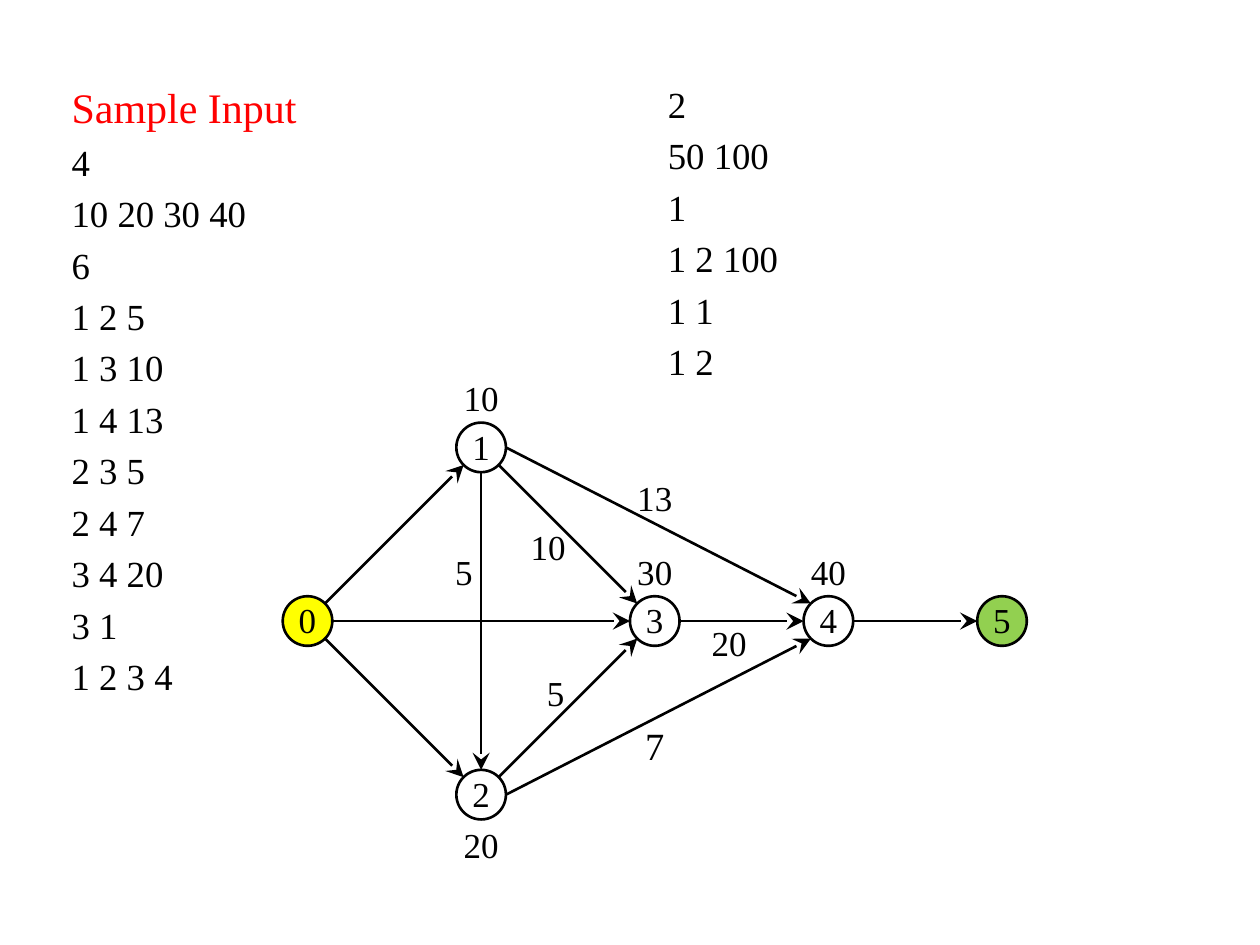
from math import cos, radians, sin

from lxml.etree import SubElement
from pptx import Presentation
from pptx.dml.color import RGBColor
from pptx.enum.shapes import MSO_CONNECTOR, MSO_SHAPE
from pptx.enum.text import MSO_ANCHOR, MSO_AUTO_SIZE, PP_ALIGN
from pptx.oxml.ns import qn
from pptx.util import Cm, Pt

FONT = "Times New Roman"
COLORS = {"black": "000000", "white": "FFFFFF", "red": "FF0000",
          "yellow": "FFFF00", "green": "92D050"}

# Sample input, as (left, top, width, height) in cm and lines
HEADING = "Sample Input"
COLUMNS = [
    ((1.19, 1.52, 11, 13),
     [HEADING, "4", "10 20 30 40", "6", "1 2 5", "1 3 10", "1 4 13",
      "2 3 5", "2 4 7", "3 4 20", "3 1", "1 2 3 4"]),
    ((13.21, 1.52, 11, 6.5),
     ["2", "50 100", "1", "1 2 100", "1 1", "1 2"]),
]

# Graph grid in cm: centre of node 0, spacing and node diameter
ORIGIN_X, ORIGIN_Y = 6.2, 12.52
STEP = 3.5
SIZE = 1.0

# Node: (column, row, fill, weight, weight offset in cm)
NODES = {
    "0": (0, 0, "yellow", None, 0),
    "1": (1, -1, "white", "10", -1),
    "2": (1, 1, "white", "20", 1),
    "3": (2, 0, "white", "30", -1),
    "4": (3, 0, "white", "40", -1),
    "5": (4, 0, "green", None, 0),
}

# Edge: (from, to, leaving side, arriving side)
ANGLES = {"E": 0, "SE": 45, "S": 90, "SW": 135,
          "W": 180, "NW": 225, "N": 270, "NE": 315}
EDGES = [
    ("0", "1", "NE", "SW"), ("0", "2", "SE", "NW"), ("0", "3", "E", "W"),
    ("1", "2", "S", "N"), ("1", "3", "SE", "NW"), ("1", "4", "E", "NW"),
    ("2", "3", "NE", "SW"), ("2", "4", "E", "SW"), ("3", "4", "E", "W"),
    ("4", "5", "E", "W"),
]

# Edge label: (text, offset from node 0 in cm, size, insets in cm, anchor)
NO_INSET = (0, 0, 0, 0)
MIDDLE, TOP = MSO_ANCHOR.MIDDLE, MSO_ANCHOR.TOP
EDGE_LABELS = [
    ("13", (7, -2.5), 20, NO_INSET, MIDDLE),
    ("7", (7, 2.5), 22, NO_INSET, MIDDLE),
    ("5", (3, -1), 20, (0.3, 0, 0, 0), MIDDLE),
    ("10", (4.85, -1.5), 20, NO_INSET, MIDDLE),
    ("5", (5, 1.5), 20, (0, 0, 0, 0.1), MIDDLE),
    ("20", (8.5, 0.5), 20, NO_INSET, TOP),
]


def color(name):
    return RGBColor.from_string(COLORS[name])


def set_font(paragraph, size, name="black"):
    paragraph.font.name = FONT
    paragraph.font.size = Pt(size)
    paragraph.font.color.rgb = color(name)


def center(node):
    column, row = NODES[node][:2]
    return ORIGIN_X + column * STEP, ORIGIN_Y + row * STEP


def rim(node, side):
    x, y = center(node)
    angle = radians(ANGLES[side])
    return Cm(x + SIZE / 2 * cos(angle)), Cm(y + SIZE / 2 * sin(angle))


def square(x, y):
    return Cm(x - SIZE / 2), Cm(y - SIZE / 2), Cm(SIZE), Cm(SIZE)


def write_centered(shape, text, size=20, insets=NO_INSET, anchor=MIDDLE, wrap=False):
    frame = shape.text_frame
    frame.margin_left, frame.margin_top, frame.margin_right, frame.margin_bottom = (
        Cm(inset) for inset in insets)
    frame.word_wrap = wrap
    frame.vertical_anchor = anchor
    paragraph = frame.paragraphs[0]
    paragraph.text = text
    paragraph.alignment = PP_ALIGN.CENTER
    set_font(paragraph, size)


def fill_column(box, place, lines):
    box.left, box.top, box.width, box.height = (Cm(value) for value in place)
    frame = box.text_frame
    frame.auto_size = MSO_AUTO_SIZE.NONE
    frame.text = "\n".join(lines)
    for index, paragraph in enumerate(frame.paragraphs):
        properties = paragraph._p.get_or_add_pPr()
        properties.set("marL", str(Cm(0.95)))
        properties.set("indent", str(-Cm(0.95)))
        SubElement(properties, qn("a:buNone"))
        paragraph.space_before = Pt(4.2 if index else 0)
        if lines[index] == HEADING:
            set_font(paragraph, 24, "red")
        else:
            set_font(paragraph, 21)


def add_label(page, text, x, y, **style):
    write_centered(page.shapes.add_textbox(*square(x, y)), text, **style)


def add_edge(page, start, end, leaving, arriving):
    edge = page.shapes.add_connector(
        MSO_CONNECTOR.STRAIGHT, *rim(start, leaving), *rim(end, arriving))
    edge.line.color.rgb = color("black")
    edge.line.width = Pt(1.5)
    SubElement(edge.line._get_or_add_ln(), qn("a:tailEnd"),
               type="stealth", w="lg", len="lg")
    SubElement(edge._element.spPr, qn("a:effectLst"))


def add_node(page, name):
    fill, weight, offset = NODES[name][2:]
    x, y = center(name)
    circle = page.shapes.add_shape(MSO_SHAPE.OVAL, *square(x, y))
    circle.shadow.inherit = False
    circle.fill.solid()
    circle.fill.fore_color.rgb = color(fill)
    circle.line.color.rgb = color("black")
    circle.line.width = Pt(1.5)
    write_centered(circle, name, insets=(0, 0, 0, 0.05), wrap=True)
    if weight:
        add_label(page, weight, x, y + offset)


def main():
    deck = Presentation()
    deck.slide_width, deck.slide_height = Cm(25.4), Cm(19.05)

    # Two-content layout without its title
    page = deck.slides.add_slide(deck.slide_layouts[3])
    title = page.shapes.title._element
    title.getparent().remove(title)
    for box, (place, lines) in zip(page.placeholders, COLUMNS):
        fill_column(box, place, lines)

    # Graph
    for edge in EDGES:
        add_edge(page, *edge)
    for name in NODES:
        add_node(page, name)
    for text, (dx, dy), size, insets, anchor in EDGE_LABELS:
        add_label(page, text, ORIGIN_X + dx, ORIGIN_Y + dy,
                  size=size, insets=insets, anchor=anchor)

    deck.save("out.pptx")


if __name__ == "__main__":
    main()
